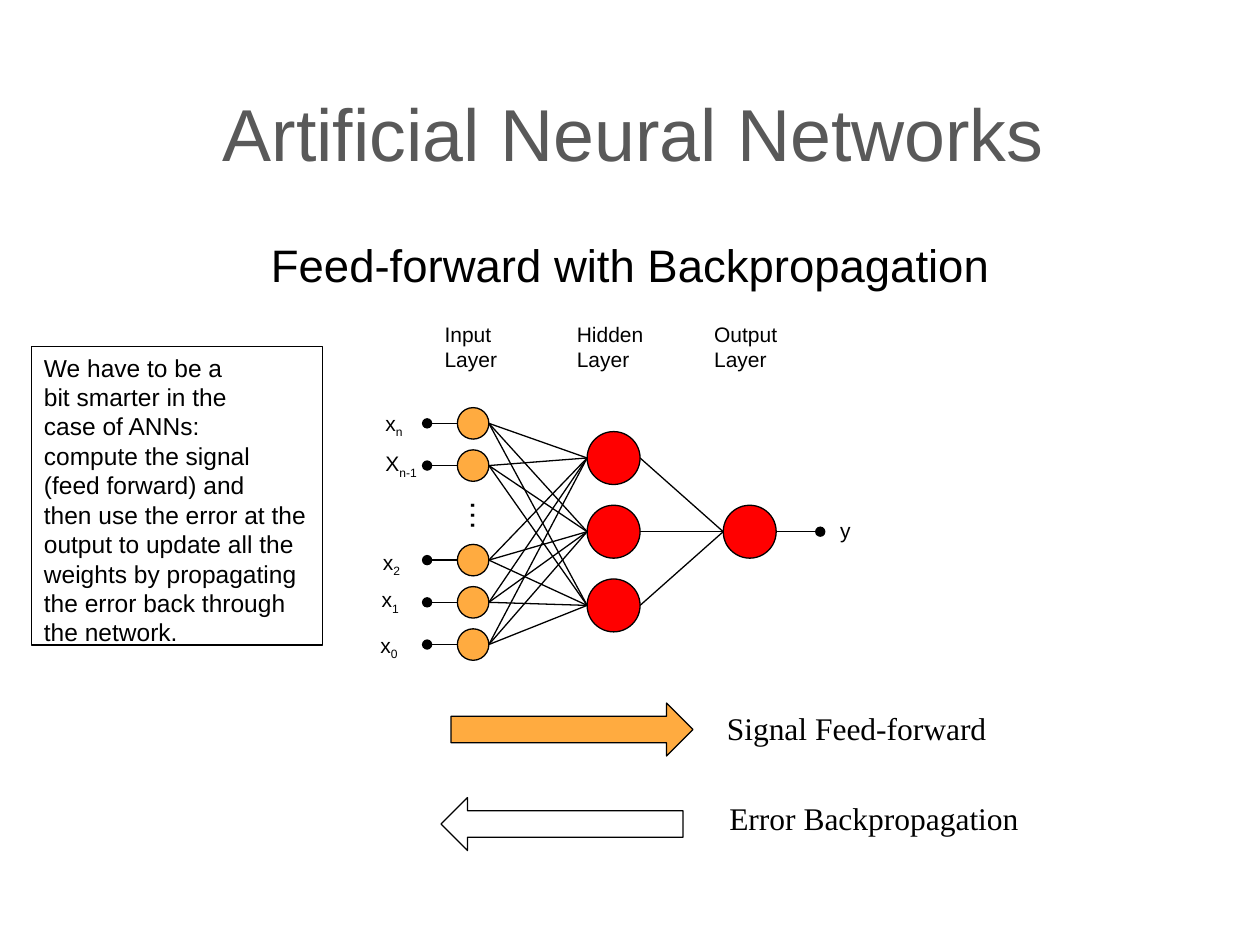
from lxml import etree
from pptx import Presentation
from pptx.dml.color import RGBColor
from pptx.enum.shapes import MSO_CONNECTOR, MSO_SHAPE
from pptx.enum.text import MSO_ANCHOR, PP_ALIGN
from pptx.oxml.ns import qn
from pptx.util import Inches, Pt

BLACK = RGBColor(0x00, 0x00, 0x00)
WHITE = RGBColor(0xFF, 0xFF, 0xFF)
GREY = RGBColor(0x59, 0x59, 0x59)
ORANGE = RGBColor(0xFF, 0xAB, 0x40)
RED = RGBColor(0xFF, 0x00, 0x00)
SANS = "Arial"
SERIF = "Times New Roman"
STRAIGHT = MSO_CONNECTOR.STRAIGHT
OVAL, RECTANGLE = MSO_SHAPE.OVAL, MSO_SHAPE.RECTANGLE
RIGHT_ARROW, LEFT_ARROW = MSO_SHAPE.RIGHT_ARROW, MSO_SHAPE.LEFT_ARROW
LEFT, CENTER = PP_ALIGN.LEFT, PP_ALIGN.CENTER
TOP, MIDDLE = MSO_ANCHOR.TOP, MSO_ANCHOR.MIDDLE

INPUT_SIZE = 0.25
NEURON_SIZE = 0.42
INPUT_STEP = 0.335
HIDDEN_STEP = 0.585
EXPLANATION = (
    "We have to be a\nbit smarter in the\ncase of ANNs: \ncompute the signal\n"
    "(feed forward) and\nthen use the error at the output to update all the "
    "weights by propagating the error back through the network."
)


def write_text(shape, text, size, font=SANS, color=BLACK, subscript="",
               alignment=LEFT, anchor=TOP, wrap=True):
    """Fill a shape with one paragraph and an optional subscript."""
    frame = shape.text_frame
    frame.word_wrap = wrap
    frame.vertical_anchor = anchor
    paragraph = frame.paragraphs[0]
    paragraph.text = text
    paragraph.alignment = alignment
    if subscript:
        run = paragraph.add_run()
        run.text = subscript
        run._r.get_or_add_rPr().set("baseline", "-25000")
    for run in paragraph.runs:
        run.font.size = Pt(size)
        run.font.name = font
        run.font.color.rgb = color


def add_text(slide, box, text, size, **style):
    """Add a text box at the given box in inches."""
    shape = slide.shapes.add_textbox(*map(Inches, box))
    write_text(shape, text, size, **style)
    return shape


def add_outlined(slide, kind, box, fill=None):
    """Add a preset shape with a thin black outline."""
    shape = slide.shapes.add_shape(kind, *map(Inches, box))
    shape.shadow.inherit = False
    if fill is None:
        shape.fill.background()
    else:
        shape.fill.solid()
        shape.fill.fore_color.rgb = fill
    shape.line.color.rgb = BLACK
    shape.line.width = Pt(0.75)
    return shape


def add_line(slide, start, end, dotted_end=False):
    """Join two points, with an oval end on request."""
    line = slide.shapes.add_connector(STRAIGHT, *map(Inches, (*start, *end)))
    line.line.color.rgb = BLACK
    line.line.width = Pt(0.75)
    properties = line._element.spPr
    etree.SubElement(properties, qn("a:effectLst"))
    if dotted_end:
        outline = properties.find(qn("a:ln"))
        etree.SubElement(outline, qn("a:tailEnd"), type="oval")


def add_neurons(slide, left, centers, size, fill):
    """Stack round neurons around the given vertical centers."""
    for center in centers:
        add_outlined(slide, OVAL, (left, center - size / 2, size, size), fill)


def connect_layers(slide, start_x, start_centers, end_x, end_centers):
    """Join every neuron of one layer to every neuron of the next."""
    for start_y in start_centers:
        for end_y in end_centers:
            add_line(slide, (start_x, start_y), (end_x, end_y))


def add_headings(slide, box):
    """Place the title and the subtitle."""
    left, top, width, height = box
    add_text(slide, (left, top, width, height), "Artificial Neural Networks", 42,
             color=GREY, anchor=MIDDLE)
    add_text(slide, (left + 0.25, top + 1.62, 6.17, 0.75),
             "Feed-forward with Backpropagation", 26, alignment=CENTER)


def add_explanation(slide, box):
    """Place the framed explanation."""
    write_text(add_outlined(slide, RECTANGLE, box), EXPLANATION, 14)


def add_network(slide, box):
    """Draw the three layers, their links and their labels."""
    left, top, width, height = box
    input_x, hidden_x, output_x = left + 0.71, left + 1.74, left + 2.82
    input_right = input_x + INPUT_SIZE
    hidden_right = hidden_x + NEURON_SIZE
    middle = top + 1.72
    inputs = [top + 0.86 + INPUT_STEP * row for row in (0, 1, 3.24, 4.24, 5.24)]
    hidden = [middle + HIDDEN_STEP * row for row in (-1, 0, 1)]

    connect_layers(slide, input_right, inputs, hidden_x, hidden)
    connect_layers(slide, hidden_right, hidden, output_x, [middle])
    add_neurons(slide, input_x, inputs, INPUT_SIZE, ORANGE)
    add_neurons(slide, hidden_x, hidden, NEURON_SIZE, RED)
    add_neurons(slide, output_x, [middle], NEURON_SIZE, RED)

    names = [("x", "n", 0.04, 0.71), ("X", "n-1", 0.04, 1.03),
             ("x", "2", 0.02, 1.81), ("x", "1", 0.01, 2.11), ("x", "0", 0, 2.47)]
    for center, (name, index, shift, offset) in zip(inputs, names):
        add_line(slide, (input_x, center), (input_x - 0.24, center), True)
        add_text(slide, (left + shift, top + offset, 0.47, 0.3), name, 12,
                 subscript=index, wrap=False)

    output_right = output_x + NEURON_SIZE
    add_line(slide, (output_right, middle), (left + width - 0.34, middle), True)
    add_text(slide, (left + width - 0.28, middle - 0.16, 0.28, 0.3), "y", 12,
             wrap=False)
    dots = add_text(slide, (left + 0.52, top + 1.39, 0.45, 0.4), "…", 18, wrap=False)
    dots.rotation = 270

    layers = [("Input", 0.51, 0.62), ("Hidden", 1.56, 0.73), ("Output", 2.65, 0.7)]
    for name, offset, label_width in layers:
        add_text(slide, (left + offset, top, label_width, 0.5), f"{name}\nLayer", 12,
                 wrap=False)


def add_directions(slide, box):
    """Place the forward and backward arrows with their captions."""
    left, top, width, height = box
    arrows = [
        (RIGHT_ARROW, ORANGE, 0.08, 0, "Signal Feed-forward", 2.17, 0),
        (LEFT_ARROW, WHITE, 0, 0.75, "Error Backpropagation", 2.19, 0.71),
    ]
    for kind, fill, shift, drop, caption, caption_shift, caption_drop in arrows:
        add_outlined(slide, kind, (left + shift, top + drop, 1.92, 0.42), fill)
        add_text(slide, (left + caption_shift, top + caption_drop, 2.54, 0.4),
                 caption, 18, font=SERIF, wrap=True)


def main():
    """Build and save the slide."""
    presentation = Presentation()
    presentation.slide_width = Inches(10)
    presentation.slide_height = Inches(7.5)
    slide = presentation.slides.add_slide(presentation.slide_layouts[6])
    add_headings(slide, (1.67, 0.21, 7.67, 1.67))
    add_directions(slide, (3.5, 5.58, 4.73, 1.17))
    add_network(slide, (2.92, 2.5, 3.93, 2.77))
    add_explanation(slide, (0.25, 2.75, 2.31, 2.37))
    presentation.save("out.pptx")


if __name__ == "__main__":
    main()
